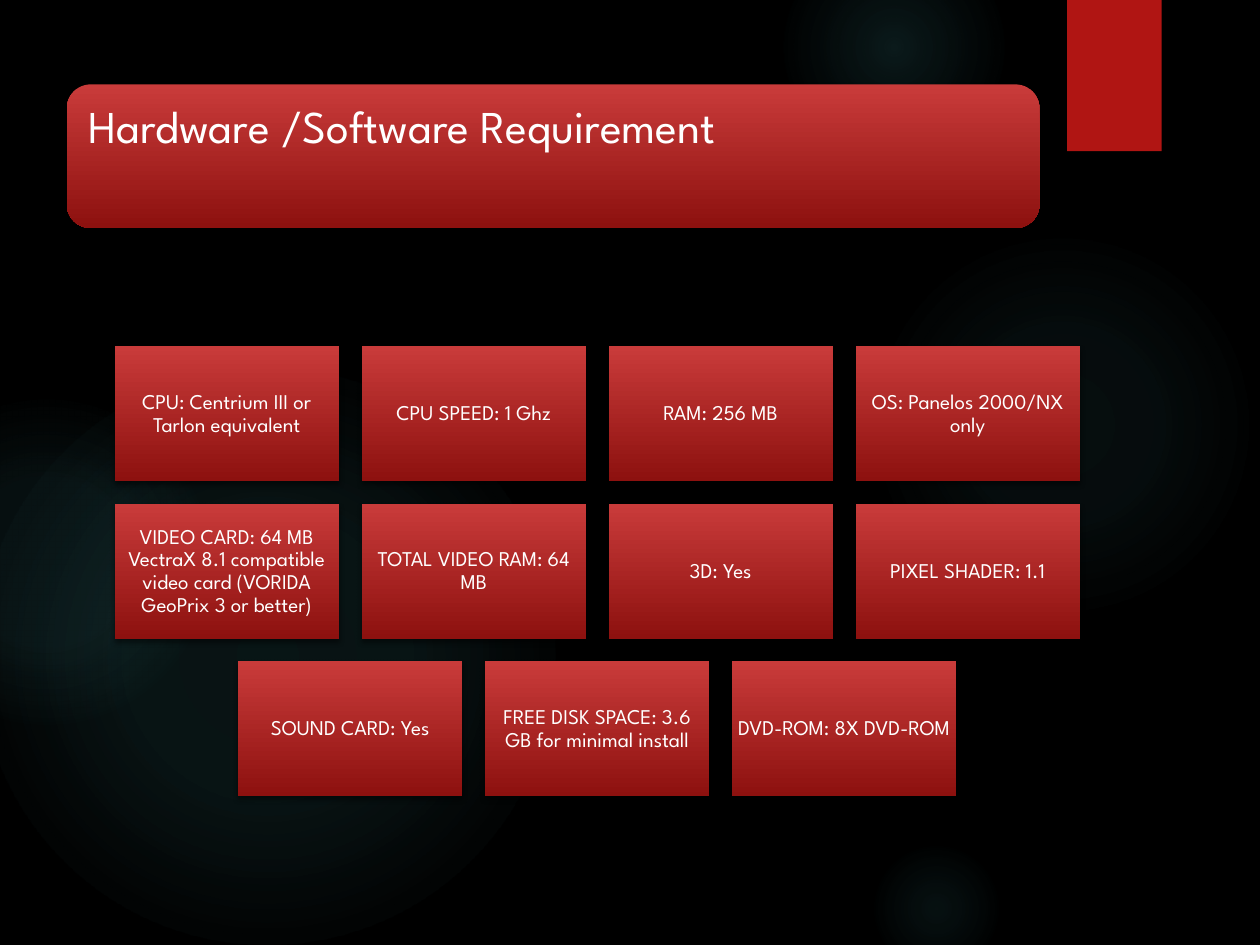
from dataclasses import dataclass
from lxml import etree
from pptx import Presentation
from pptx.dml.color import RGBColor
from pptx.enum.shapes import MSO_SHAPE
from pptx.enum.text import MSO_ANCHOR, PP_ALIGN
from pptx.oxml.ns import qn
from pptx.util import Inches, Pt

RECT, ROUND, OVAL = MSO_SHAPE.RECTANGLE, MSO_SHAPE.ROUNDED_RECTANGLE, MSO_SHAPE.OVAL
TOP, MIDDLE = MSO_ANCHOR.TOP, MSO_ANCHOR.MIDDLE
LEFT, CENTER = PP_ALIGN.LEFT, PP_ALIGN.CENTER


@dataclass(frozen=True)
class Theme:
    font: str = "League Spartan"
    title_size: int = 26
    card_size: int = 12
    background: str = "000000"
    text: str = "FFFFFF"
    accent: str = "B01513"
    glow: str = "50B9C1"
    card_top: str = "C93B3A"
    card_bottom: str = "8D110F"
    shadow: str = "000000"


THEME = Theme()

GLOWS = [
    (6.89, 1.83, 3.08, [(0, 7), (36, 6), (69, 0)]),
    (6.22, -0.5, 1.75, [(0, 14), (36, 7), (73, 0)]),
    (6.89, 6.67, 1.08, [(0, 9), (36, 5), (66, 0)]),
    (-0.17, 2.92, 4.58, [(0, 11), (36, 10), (75, 0)]),
    (-0.92, 3.17, 2.58, [(0, 8), (36, 8), (72, 0)]),
]

REQUIREMENTS = [
    ["CPU: Centrium III or Tarlon equivalent", "CPU SPEED: 1 Ghz",
     "RAM: 256 MB", "OS: Panelos 2000/NX only"],
    ["VIDEO CARD: 64 MB VectraX 8.1 compatible video card (VORIDA GeoPrix 3 or better)",
     "TOTAL VIDEO RAM: 64 MB", "3D: Yes", "PIXEL SHADER: 1.1"],
    ["SOUND CARD: Yes", "FREE DISK SPACE: 3.6 GB for minimal install",
     "DVD-ROM: 8X DVD-ROM"],
]

CARD_W, CARD_H = 1.78, 1.07
PITCH_X, PITCH_Y = 1.96, 1.25
GRID_CENTER, GRID_TOP = 4.74, 2.75


def set_attrs(target, values):
    for name, value in values.items():
        setattr(target, name, value)


def sub(parent, tag, **attrs):
    return etree.SubElement(parent, qn(tag), {k: str(v) for k, v in attrs.items()})


def add_color(parent, color, alpha=100):
    clr = sub(parent, "a:srgbClr", val=color)
    if alpha < 100:
        sub(clr, "a:alpha", val=alpha * 1000)


def add_shape(s, kind, box):
    sp = s.shapes.add_shape(kind, *map(Inches, box))
    sp.shadow.inherit = False
    sp.line.fill.background()
    return sp


def fill_gradient(sp, stops, radial=False):
    grad = etree.Element(qn("a:gradFill"), rotWithShape="1")
    stop_list = sub(grad, "a:gsLst")
    for position, color, alpha in stops:
        add_color(sub(stop_list, "a:gs", pos=position * 1000), color, alpha)
    if radial:
        center = sub(grad, "a:path", path="circle")
        sub(center, "a:fillToRect", l=50000, t=50000, r=50000, b=50000)
    else:
        sub(grad, "a:lin", ang=5400000, scaled=0)
    sp.element.spPr.find(qn("a:prstGeom")).addnext(grad)


def add_shadow(sp):
    effects = sp.element.spPr.find(qn("a:effectLst"))
    outer = sub(effects, "a:outerShdw", blurRad=Pt(3), dist=Pt(2), dir=5400000,
                rotWithShape=0)
    add_color(outer, THEME.shadow, 45)


def write_text(sp, text, size, inset, align, anchor):
    tf = sp.text_frame
    margins = {f"margin_{side}": Inches(inset) for side in ("left", "top", "right", "bottom")}
    set_attrs(tf, {"word_wrap": True, "vertical_anchor": anchor, **margins})
    p = tf.paragraphs[0]
    set_attrs(p, {"alignment": align, "line_spacing": 0.9})
    r = p.add_run()
    r.text = text
    set_attrs(r.font, {"name": THEME.font, "size": Pt(size)})
    r.font.color.rgb = RGBColor.from_string(THEME.text)


def add_glow(s, left, top, size, stops):
    sp = add_shape(s, OVAL, (left, top, size, size))
    fill_gradient(sp, [(pos, THEME.glow, alpha) for pos, alpha in stops], radial=True)


def add_panel(s, kind, box):
    sp = add_shape(s, kind, box)
    fill_gradient(sp, [(0, THEME.card_top, 100), (100, THEME.card_bottom, 100)])
    add_shadow(sp)
    return sp


def add_ribbon(s):
    sp = add_shape(s, RECT, (8.47, 0, 0.75, 1.2))
    sp.fill.solid()
    sp.fill.fore_color.rgb = RGBColor.from_string(THEME.accent)
    add_shadow(sp)


def add_title(s, text):
    add_panel(s, ROUND, (0.53, 0.67, 7.72, 1.14))
    title = s.shapes.title
    set_attrs(title, {"left": Inches(0.59), "top": Inches(0.72),
                      "width": Inches(7.6), "height": Inches(1.03)})
    write_text(title, text, THEME.title_size, 0.11, LEFT, TOP)
    title.element.getparent().append(title.element)


def add_cards(s):
    for row, texts in enumerate(REQUIREMENTS):
        left = GRID_CENTER - ((len(texts) - 1) * PITCH_X + CARD_W) / 2
        for col, text in enumerate(texts):
            box = (left + col * PITCH_X, GRID_TOP + row * PITCH_Y, CARD_W, CARD_H)
            write_text(add_panel(s, RECT, box), text, THEME.card_size, 0.04, CENTER, MIDDLE)


def main():
    prs = Presentation()
    set_attrs(prs, {"slide_width": Inches(10), "slide_height": Inches(7.5)})
    s = prs.slides.add_slide(prs.slide_layouts[5])
    s.background.fill.solid()
    s.background.fill.fore_color.rgb = RGBColor.from_string(THEME.background)
    for glow in GLOWS:
        add_glow(s, *glow)
    add_ribbon(s)
    add_title(s, "Hardware /Software Requirement")
    add_cards(s)
    prs.save("out.pptx")


main()
